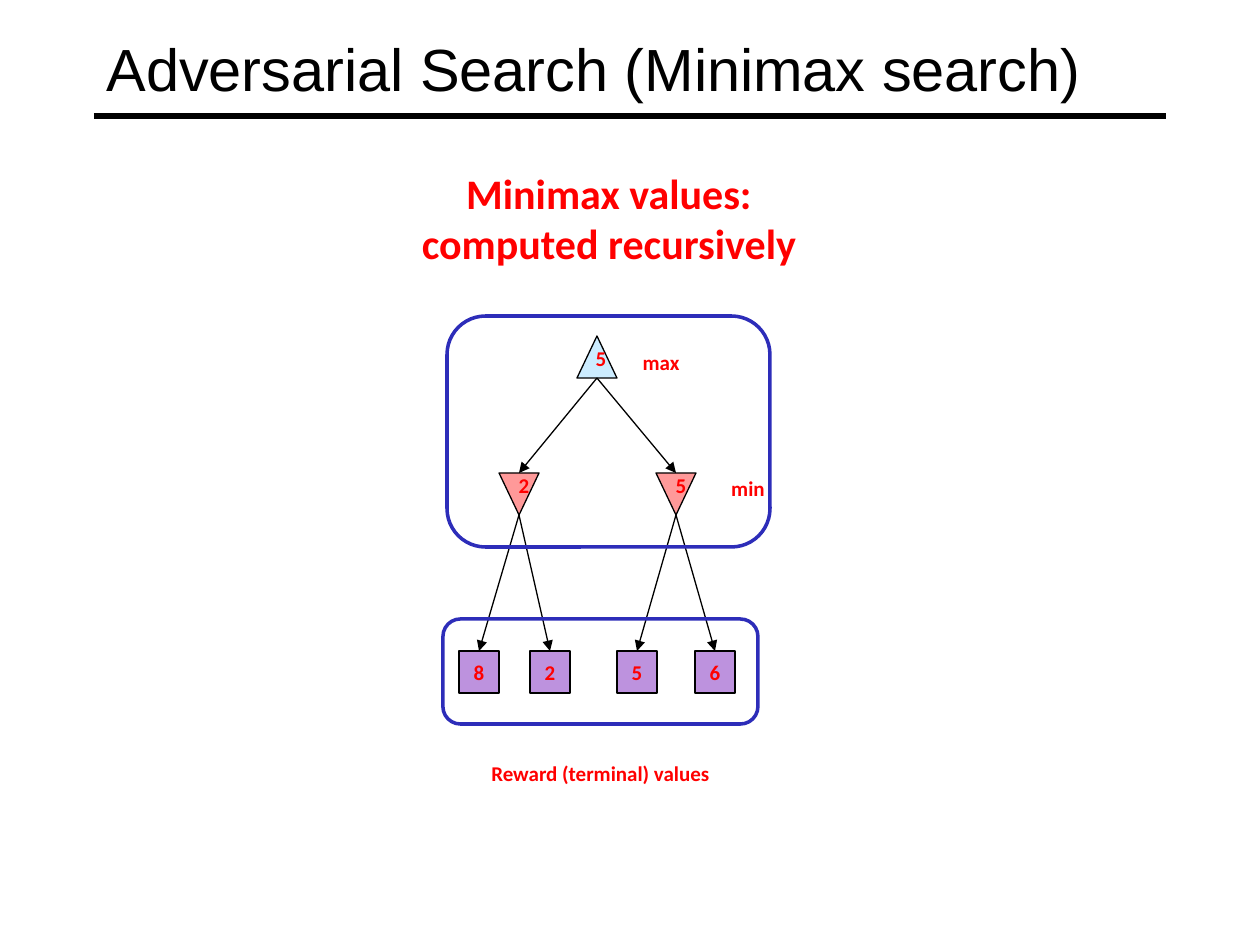
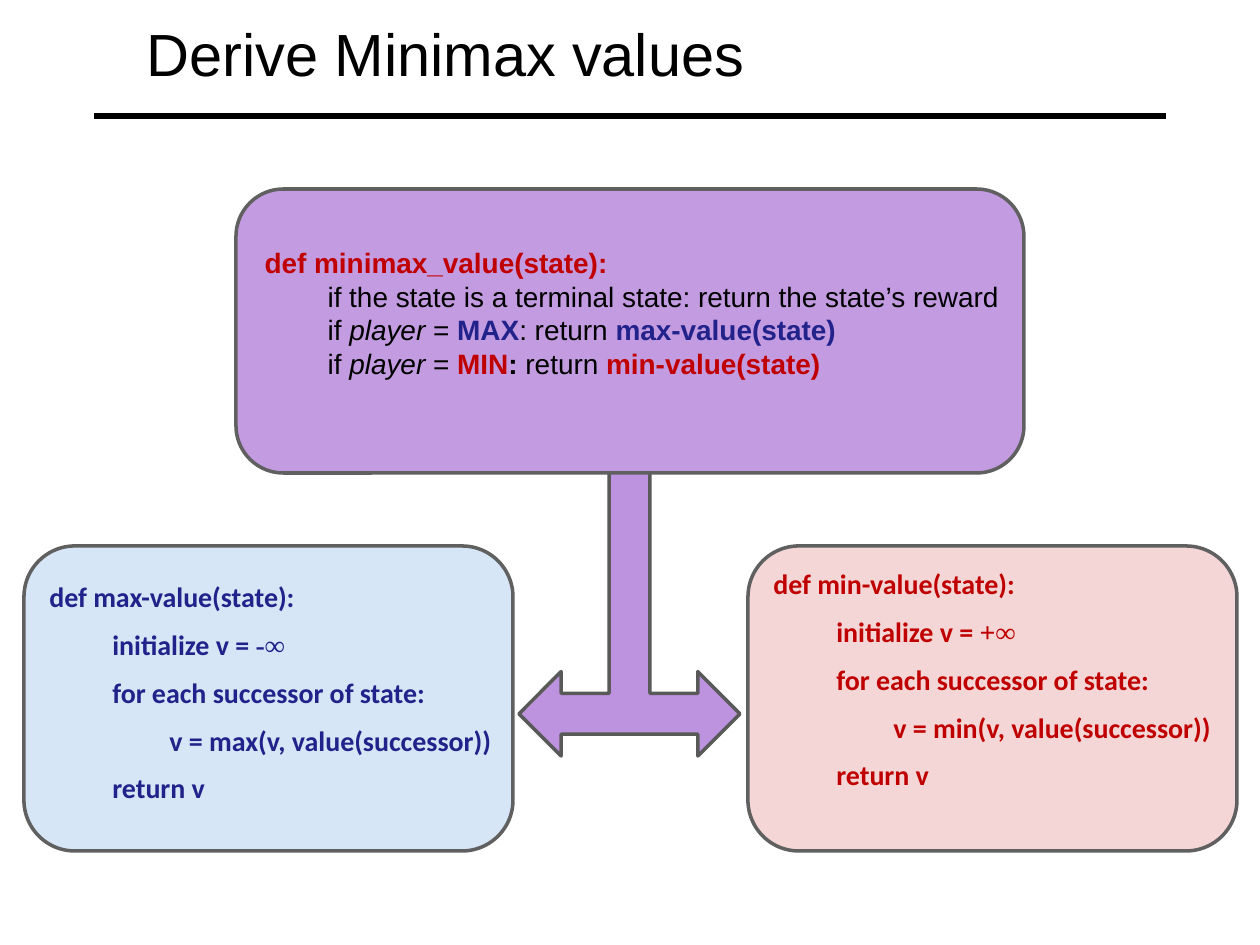
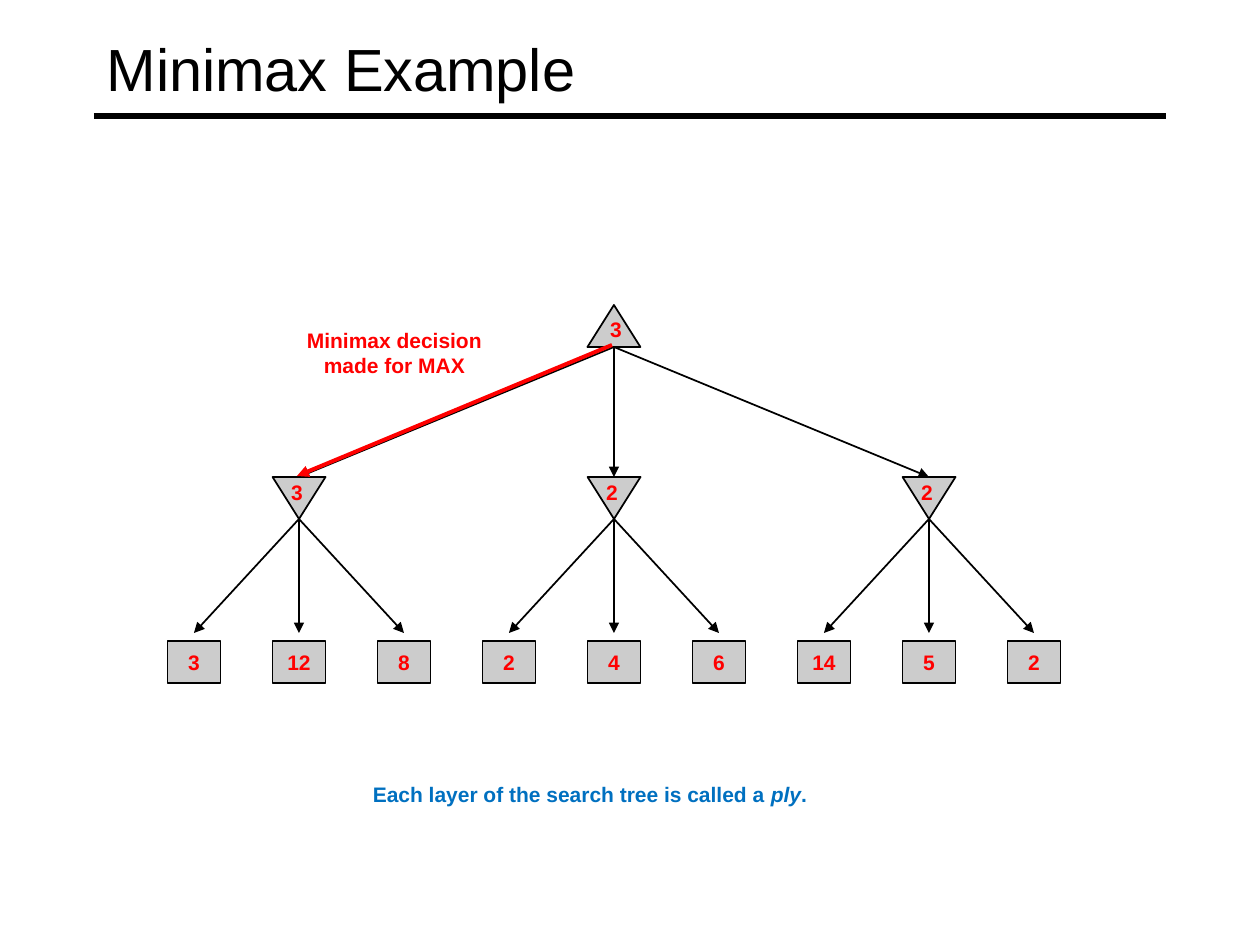
from dataclasses import dataclass

from lxml.etree import SubElement
from pptx import Presentation
from pptx.dml.color import RGBColor
from pptx.enum.shapes import MSO_CONNECTOR as Connector, MSO_SHAPE as Shape
from pptx.enum.text import MSO_ANCHOR as Anchor, MSO_AUTO_SIZE as AutoSize, PP_ALIGN as Align
from pptx.oxml.ns import qn
from pptx.util import Emu, Pt

PX_PER_INCH = 126
BLACK = RGBColor(0x00, 0x00, 0x00)
RED = RGBColor(0xFF, 0x00, 0x00)
DARK_RED = RGBColor(0xC0, 0x00, 0x00)
NAVY = RGBColor(0x22, 0x22, 0x8B)
FRAME_BLUE = RGBColor(0x2D, 0x2D, 0xB9)
PANEL_BLUE = RGBColor(0x00, 0x66, 0xCC)
NOTE_BLUE = RGBColor(0x00, 0x70, 0xC0)
PALE_BLUE = RGBColor(0xCC, 0xEC, 0xFF)
PINK = RGBColor(0xFF, 0x99, 0x99)
PURPLE = RGBColor(0xBD, 0x92, 0xDE)
PANEL_PURPLE = RGBColor(0xC3, 0x9B, 0xE1)
GREY = RGBColor(0xCC, 0xCC, 0xCC)
ARROW_GREY = RGBColor(0x59, 0x59, 0x59)
PANEL_GREY = RGBColor(0x60, 0x60, 0x60)

SANS, BODY, SERIF = "Arial", "Calibri", "Times New Roman"
TITLE_BOX = (94, 10, 1071, 116)
LABEL_SIZE = 38
CODE_INDENT = 63


@dataclass
class Tree:
    """Values, geometry and colours of a three-level game tree."""

    root: tuple
    minimizers: list
    leaves: list
    tops: tuple
    node: tuple
    fills: tuple
    font: str
    weight: float
    root_shift: tuple
    min_shift: tuple
    leaf_gap: int = 0


def px(count):
    """Turn pixels into EMU."""
    return Emu(round(count * 914400 / PX_PER_INCH))


def scale(box):
    """Turn a box in pixels into EMU lengths."""
    return [px(length) for length in box]


def style_span(span, font, size, color, bold=False, italic=False):
    """Format one run."""
    span.font.name, span.font.size = font, Pt(size)
    span.font.color.rgb = color
    span.font.bold, span.font.italic = bold, italic


def add_span(para, text, *style):
    """Append a formatted run to a paragraph."""
    span = para.add_run()
    span.text = text
    style_span(span, *style)


def fill_text(frame, text, font, size, color):
    """Write bold centred text into a frame."""
    frame.text = text
    for para in frame.paragraphs:
        para.alignment = Align.CENTER
        for span in para.runs:
            style_span(span, font, size, color, True)


def add_label(page, box, text, font, size=12, color=RED, wrap=True, anchor=Anchor.TOP):
    """Add a bold centred text box."""
    frame = page.shapes.add_textbox(*scale(box)).text_frame
    frame.word_wrap = wrap
    frame.vertical_anchor = anchor
    fill_text(frame, text, font, size, color)
    return frame


def add_figure(page, kind, box, fill, line, weight, alpha=None):
    """Add a flat preset shape, unfilled when fill is None."""
    shape = page.shapes.add_shape(kind, *scale(box))
    shape.shadow.inherit = False
    if fill is None:
        shape.fill.background()
    else:
        shape.fill.solid()
        shape.fill.fore_color.rgb = fill
    if alpha:
        tint = shape.element.spPr.find(qn("a:solidFill"))[0]
        SubElement(tint, qn("a:alpha"), val=str(alpha * 1000))
    shape.line.color.rgb = line
    shape.line.width = Pt(weight)
    return shape


def connect(page, start, end, weight, color=BLACK, arrow=True):
    """Draw a straight line, with an arrowhead at its end if wanted."""
    line = page.shapes.add_connector(Connector.STRAIGHT, *scale((*start, *end)))
    line.line.color.rgb = color
    line.line.width = Pt(weight)
    properties = line.element.spPr
    if arrow:
        SubElement(properties.find(qn("a:ln")), qn("a:tailEnd"), type="triangle")
    SubElement(properties, qn("a:effectLst"))
    return line


def add_master_rule(deck, page):
    """Put the rule below the title on the slide master."""
    rule = connect(page, (94, 116), (1166, 116), 3, arrow=False)
    rule.element.nvCxnSpPr.cNvPr.set("id", "99")
    deck.slide_master.shapes.element.append(rule.element)


def place(shape, box):
    """Move and size a placeholder."""
    shape.left, shape.top, shape.width, shape.height = scale(box)
    shape.text_frame.auto_size = AutoSize.NONE


def add_page(deck, layout, title, box=TITLE_BOX):
    """Add a slide with its left-aligned title."""
    page = deck.slides.add_slide(deck.slide_layouts.get_by_name(layout))
    place(page.shapes.title, box)
    frame = page.shapes.title.text_frame
    frame.text = title
    frame.vertical_anchor = Anchor.MIDDLE
    para = frame.paragraphs[0]
    para.alignment = Align.LEFT
    style_span(para.runs[0], SANS, 34, BLACK)
    return page


def draw_tree(page, left, top, tree):
    """Draw a game tree whose upper left corner is given."""
    width, height = tree.node
    root_top, min_top, leaf_top = (top + offset for offset in tree.tops)
    root_fill, min_fill, leaf_fill = tree.fills

    def add_node(kind, center, node_top, fill, weight):
        """Draw a node centred on a column of the tree."""
        box = (left + center - width / 2, node_top, width, height)
        return add_figure(page, kind, box, fill, BLACK, weight)

    def add_value(center, node_top, shift, text):
        """Write a value over a triangle."""
        box = (left + center + shift[0] - LABEL_SIZE / 2, node_top + shift[1], LABEL_SIZE, LABEL_SIZE)
        add_label(page, box, text, tree.font, wrap=False)

    root_center, root_value = tree.root
    add_node(Shape.ISOSCELES_TRIANGLE, root_center, root_top, root_fill, tree.weight)
    branching = len(tree.leaves) // len(tree.minimizers)
    for index, (center, value) in enumerate(tree.minimizers):
        triangle = add_node(Shape.ISOSCELES_TRIANGLE, center, min_top, min_fill, tree.weight)
        triangle.rotation = 180
        connect(page, (left + root_center, root_top + height), (left + center, min_top), tree.weight)
        for leaf_center, leaf_value in tree.leaves[index * branching:(index + 1) * branching]:
            connect(page, (left + center, min_top + height),
                    (left + leaf_center, leaf_top - tree.leaf_gap), tree.weight)
            leaf = add_node(Shape.RECTANGLE, leaf_center, leaf_top, leaf_fill, 0.75)
            leaf.text_frame.word_wrap = False
            leaf.text_frame.vertical_anchor = Anchor.MIDDLE
            fill_text(leaf.text_frame, leaf_value, tree.font, 12, RED)
        add_value(center, min_top, tree.min_shift, value)
    add_value(root_center, root_top, tree.root_shift, root_value)


def write_code(frame, lines, line_gap, margin_top):
    """Write pseudocode lines, each an indent and its styled spans."""
    frame.word_wrap = True
    frame.vertical_anchor = Anchor.TOP
    frame.margin_top = px(margin_top)
    for index, (indent, spans) in enumerate(lines):
        para = frame.paragraphs[0] if index == 0 else frame.add_paragraph()
        para.level = 1 if indent else 0
        properties = para._p.get_or_add_pPr()
        properties.set("marL", str(px(indent)))
        properties.set("indent", "0")
        SubElement(properties, qn("a:buNone"))
        para.line_spacing = 0.8
        para.space_before = Pt(line_gap if index else 0)
        for span in spans:
            add_span(para, *span)


def add_value_panel(page, box, text_box, margin_top, fill, color, name, infinity):
    """Add a tinted panel with the code of one player's value function."""
    add_figure(page, Shape.ROUNDED_RECTANGLE, box, fill, PANEL_GREY, 2, alpha=16)

    def bold(text, font=BODY):
        """Describe a bold span in the panel's colour."""
        return text, font, 16, color, True

    lines = [
        (0, [bold(f"def {name}-value(state):")]),
        (CODE_INDENT, [bold("initialize v = "), bold(infinity, SERIF)]),
        (CODE_INDENT, [bold("for each successor of state:")]),
        (CODE_INDENT + 57, [bold(f"v = {name}(v, value(successor))")]),
        (CODE_INDENT, [bold("return v")]),
    ]
    write_code(page.shapes.add_textbox(*scale(text_box)).text_frame, lines, 12, margin_top)


def build_search_page(deck):
    """Build the slide that introduces minimax values."""
    page = add_page(deck, "Title Only", "Adversarial Search (Minimax search)")
    add_master_rule(deck, page)
    tree = Tree(
        root=(138, "5"),
        minimizers=[(60, "2"), (217, "5")],
        leaves=[(20, "8"), (91, "2"), (178, "5"), (256, "6")],
        tops=(0, 137, 315),
        node=(40, 42),
        fills=(PALE_BLUE, PINK, PURPLE),
        font=BODY,
        weight=0.75,
        root_shift=(4, 3),
        min_shift=(5, -7),
    )
    draw_tree(page, 459, 336, tree)
    add_label(page, (619, 343, 84, 38), "max", BODY, anchor=Anchor.MIDDLE)
    add_label(page, (703, 469, 90, 38), "min", BODY, anchor=Anchor.MIDDLE)
    for box in ((443, 619, 315, 105), (447, 316, 323, 231)):
        add_figure(page, Shape.ROUNDED_RECTANGLE, box, None, FRAME_BLUE, 2)
    add_label(page, (443, 754, 315, 63), "Reward (terminal) values", BODY)
    add_label(page, (374, 160, 470, 115), "Minimax values:\ncomputed recursively", BODY, 24,
              anchor=Anchor.MIDDLE)


def build_code_page(deck):
    """Build the slide with the pseudocode."""
    page = add_page(deck, "Title and Content", "Derive Minimax values", (134, 24, 969, 57))
    arrow = add_figure(page, Shape.LEFT_RIGHT_UP_ARROW, (519, 399, 221, 357), PURPLE, ARROW_GREY, 2)
    for index, ratio in enumerate((0.185, 0.191, 0.191)):
        arrow.adjustments[index] = ratio
    add_value_panel(page, (748, 546, 489, 305), (761, 567, 496, 315), 6,
                    DARK_RED, DARK_RED, "min", "+∞")
    add_value_panel(page, (24, 546, 489, 305), (37, 525, 559, 305), 61,
                    PANEL_BLUE, NAVY, "max", "-∞")
    add_figure(page, Shape.ROUNDED_RECTANGLE, (236, 189, 788, 284), PANEL_PURPLE, PANEL_GREY, 2)

    def plain(text, italic=False):
        """Describe a regular black span."""
        return text, SANS, 16, BLACK, False, italic

    def bold(text, color):
        """Describe a bold span."""
        return text, SANS, 16, color, True

    condition = [plain("if "), plain("player", True), plain(" = ")]
    lines = [
        (0, [bold("def minimax_value(state):", DARK_RED)]),
        (CODE_INDENT, [plain("if the state is a terminal state: return the state’s reward")]),
        (CODE_INDENT, condition + [bold("MAX", NAVY), plain(": return "),
                                   bold("max-value(state)", NAVY)]),
        (CODE_INDENT, condition + [bold("MIN", DARK_RED), bold(": ", BLACK), plain("return "),
                                   bold("min-value(state)", DARK_RED)]),
    ]
    body = page.placeholders[1]
    place(body, (252, 189, 850, 525))
    write_code(body.text_frame, lines, 3.8, 63)
    page.shapes.element.append(body.element)


def build_example_page(deck):
    """Build the slide with the worked example."""
    page = add_page(deck, "Title Only", "Minimax Example")
    left, top = 168, 305
    values = ("3", "12", "8", "2", "4", "6", "14", "5", "2")
    leaves = [(26 + 105 * index, value) for index, value in enumerate(values)]
    tree = Tree(
        root=(446, "3"),
        minimizers=[(131, "3"), (446, "2"), (761, "2")],
        leaves=leaves,
        tops=(0, 172, 336),
        node=(53, 42),
        fills=(GREY, GREY, GREY),
        font=SANS,
        weight=1,
        root_shift=(2, 5),
        min_shift=(-2, -4),
        leaf_gap=8,
    )
    draw_tree(page, left, top, tree)
    connect(page, (left + 444, top + 40), (left + 129, top + 171), 2.25, RED)
    add_label(page, (286, 321, 217, 63), "Minimax decision made for MAX", SANS)
    frame = add_label(page, (333, 775, 514, 38), "Each layer of the search tree is called a ",
                      SANS, color=NOTE_BLUE)
    para = frame.paragraphs[0]
    add_span(para, "ply", SANS, 12, NOTE_BLUE, True, True)
    add_span(para, ".", SANS, 12, NOTE_BLUE, True)


def main():
    """Build and save the deck."""
    deck = Presentation()
    deck.slide_width, deck.slide_height = px(1260), px(945)
    build_search_page(deck)
    build_code_page(deck)
    build_example_page(deck)
    deck.save("out.pptx")


if __name__ == "__main__":
    main()
